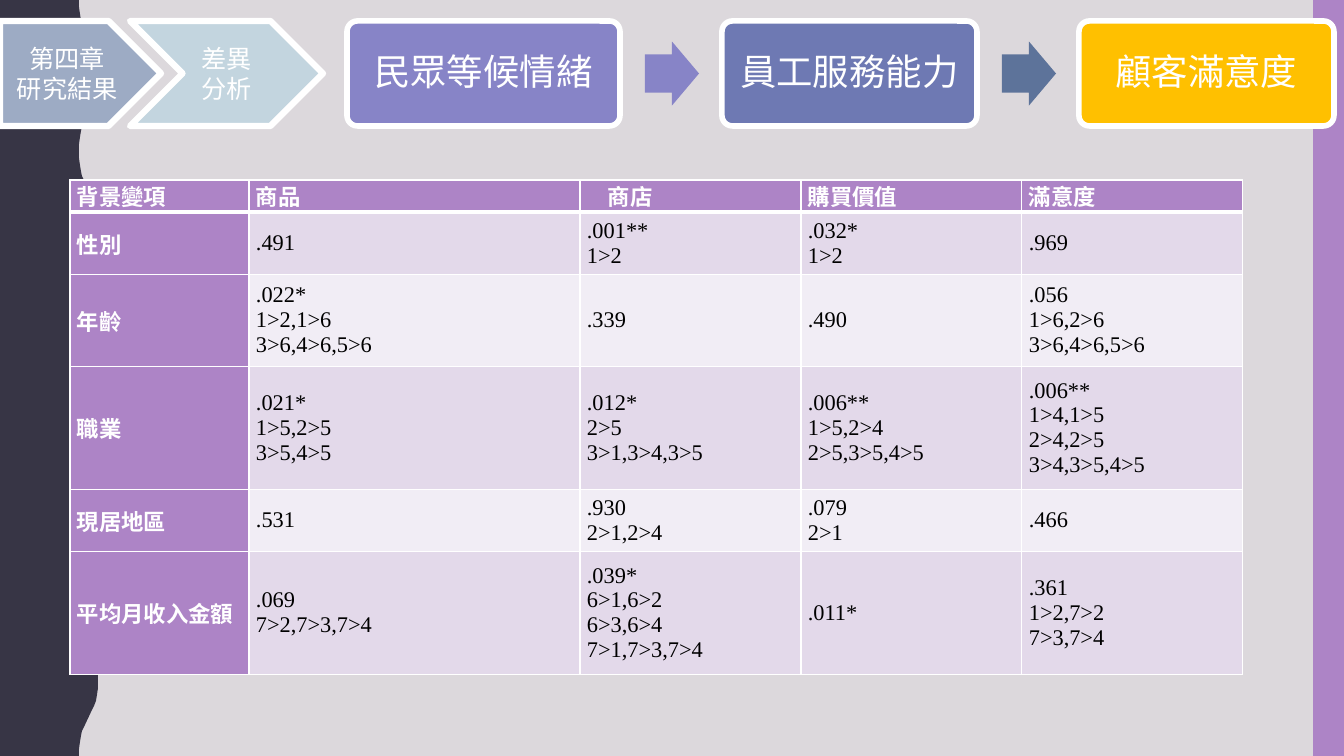
from lxml.etree import SubElement
from pptx import Presentation
from pptx.dml.color import RGBColor
from pptx.enum.shapes import MSO_SHAPE as Preset
from pptx.enum.text import MSO_ANCHOR as Anchor, PP_ALIGN as Align
from pptx.oxml.ns import qn
from pptx.util import Pt

PX = 914400 / 100.8
WIDTH, HEIGHT = 1344, 756
SANS, SERIF = "Noto Sans CJK SC", "Times New Roman"
WHITE, PURPLE, DARK = "FFFFFF", "AD84C6", "373545"
BANDS = ["E3D9EA", "F1EDF5"]

WAVE_COUNT = 5
# Outline of the wave from trough to crest; the way back mirrors it.
HALF_WAVE = [(79, 0), (79, 7), (80, 14), (81, 20), (82, 25), (84, 29), (92, 46),
             (94, 50), (96, 55), (97, 61), (98, 68), (98, 75)]

CHAPTERS = [
    (Preset.PENTAGON, 0, 161, "9DABC4", ["第四章", "研究結果"]),
    (Preset.CHEVRON, 130, 193, "C3D5DF", ["差異分析"]),
]
# Text, box width, box colour, colour of the arrow that follows
STEPS = [
    ("民眾等候情緒", 273, "8784C7", "8784C7"),
    ("員工服務能力", 255, "6E79B3", "5D739A"),
    ("顧客滿意度", 255, "FFC000", None),
]

COLUMN_WIDTHS = [179, 331, 221, 221, 221]
ROW_HEIGHTS = [31, 62, 92, 123, 62, 123]
HEADERS = ["背景變項", "商品", "商店", "購買價值", "滿意度"]
ROWS = [
    ["性別", ".491", ".001**\n1>2", ".032*\n1>2", ".969"],
    ["年齡", ".022*\n1>2,1>6\n3>6,4>6,5>6", ".339", ".490",
     ".056\n1>6,2>6\n3>6,4>6,5>6"],
    ["職業", ".021*\n1>5,2>5\n3>5,4>5", ".012*\n2>5\n3>1,3>4,3>5",
     ".006**\n1>5,2>4\n2>5,3>5,4>5", ".006**\n1>4,1>5\n2>4,2>5\n3>4,3>5,4>5"],
    ["現居地區", ".531", ".930\n2>1,2>4", ".079\n2>1", ".466"],
    ["平均月收入金額", ".069\n7>2,7>3,7>4", ".039*\n6>1,6>2\n6>3,6>4\n7>1,7>3,7>4",
     ".011*", ".361\n1>2,7>2\n7>3,7>4"],
]


def px(length):
    return round(length * PX)


def color(hex_code):
    return RGBColor.from_string(hex_code)


def write_text(frame, lines, size, font=SANS, fill=WHITE, bold=False,
               align=Align.LEFT, spacing=None):
    for index, line in enumerate(lines):
        paragraph = frame.paragraphs[0] if index == 0 else frame.add_paragraph()
        paragraph.alignment = align
        if spacing:
            paragraph.line_spacing = spacing
        run = paragraph.add_run()
        run.text = line
        run.font.size = Pt(size)
        run.font.bold = bold
        run.font.color.rgb = color(fill)
        run.font.name = font
        SubElement(run.font._element, qn("a:ea"), typeface=SANS)


def paint(shape, fill, line_width=0):
    shape.shadow.inherit = False
    shape.fill.solid()
    shape.fill.fore_color.rgb = color(fill)
    if line_width:
        shape.line.color.rgb = color(WHITE)
        shape.line.width = Pt(line_width)
    else:
        shape.line.fill.background()


def add_block(slide, preset, left, top, width, height, fill, line_width=0):
    shape = slide.shapes.add_shape(preset, px(left), px(top), px(width), px(height))
    paint(shape, fill, line_width)
    shape.text_frame.word_wrap = True
    shape.text_frame.vertical_anchor = Anchor.MIDDLE
    return shape


def add_side_bands(slide, right_band_width):
    period = HEIGHT / WAVE_COUNT
    one_wave = HALF_WAVE + [(x, period - y) for x, y in reversed(HALF_WAVE)]
    outline = [(px(x), px(number * period + y))
               for number in range(WAVE_COUNT) for x, y in one_wave]
    builder = slide.shapes.build_freeform(0, 0, scale=1.0)
    builder.add_line_segments(outline + [(0, px(HEIGHT))], close=True)
    paint(builder.convert_to_shape(), DARK)
    add_block(slide, Preset.RECTANGLE, WIDTH - right_band_width, 0,
              right_band_width, HEIGHT, PURPLE)


def add_chapters(slide, left, top, height):
    for preset, offset, width, fill, lines in CHAPTERS:
        shape = add_block(slide, preset, left + offset, top, width, height, fill, 4.5)
        write_text(shape.text_frame, lines, 18, align=Align.CENTER)


def add_steps(slide, left, top, height):
    """Place the rounded boxes from left to right with an arrow between each pair."""
    arrow_width, arrow_height, gap_before, gap_after = 54, 64, 25, 23
    for text, width, fill, arrow_fill in STEPS:
        box = add_block(slide, Preset.ROUNDED_RECTANGLE, left, top, width, height, fill, 4)
        box.adjustments[0] = 0.1
        frame = box.text_frame
        frame.margin_left = frame.margin_right = px(8)
        write_text(frame, [text], 26, align=Align.CENTER, spacing=0.9)
        left += width + gap_before
        if arrow_fill:
            arrow = add_block(slide, Preset.RIGHT_ARROW, left,
                              top + (height - arrow_height) / 2,
                              arrow_width, arrow_height, arrow_fill)
            arrow.adjustments[0] = 0.6
            left += arrow_width + gap_after


def set_borders(cell, top=1, bottom=1):
    properties = cell._tc.get_or_add_tcPr()
    for side, width in (("L", 1), ("R", 1), ("T", top), ("B", bottom)):
        line = SubElement(properties, qn(f"a:ln{side}"), w=str(Pt(width)))
        SubElement(SubElement(line, qn("a:solidFill")), qn("a:srgbClr"), val=WHITE)


def add_results_table(slide, left, top):
    table = slide.shapes.add_table(
        len(ROW_HEIGHTS), len(COLUMN_WIDTHS), px(left), px(top),
        px(sum(COLUMN_WIDTHS)), px(sum(ROW_HEIGHTS))).table
    table.first_col = True
    for column, width in zip(table.columns, COLUMN_WIDTHS):
        column.width = px(width)
    for row, height in zip(table.rows, ROW_HEIGHTS):
        row.height = px(height)

    for row_index, texts in enumerate([HEADERS] + ROWS):
        for column_index, text in enumerate(texts):
            cell = table.cell(row_index, column_index)
            heading = row_index == 0 or column_index == 0
            cell.margin_left = cell.margin_right = px(7)
            cell.margin_top = cell.margin_bottom = 0
            cell.vertical_anchor = Anchor.MIDDLE
            set_borders(cell, top=3 if row_index == 1 else 1,
                        bottom=3 if row_index == 0 else 1)
            cell.fill.solid()
            cell.fill.fore_color.rgb = color(
                PURPLE if heading else BANDS[(row_index - 1) % 2])
            write_text(cell.text_frame, text.split("\n"), 16, font=SERIF,
                       fill=WHITE if heading else "000000", bold=heading)
    table.cell(0, HEADERS.index("商店")).margin_left = px(28)


def main():
    presentation = Presentation()
    presentation.slide_width, presentation.slide_height = px(WIDTH), px(HEIGHT)
    slide = presentation.slides.add_slide(presentation.slide_layouts[6])
    slide.background.fill.solid()
    slide.background.fill.fore_color.rgb = color("DCD8DC")
    add_side_bands(slide, right_band_width=31)
    add_chapters(slide, left=0, top=21, height=105)
    add_steps(slide, left=347, top=21, height=105)
    add_results_table(slide, left=70, top=180)
    presentation.save("out.pptx")


if __name__ == "__main__":
    main()
